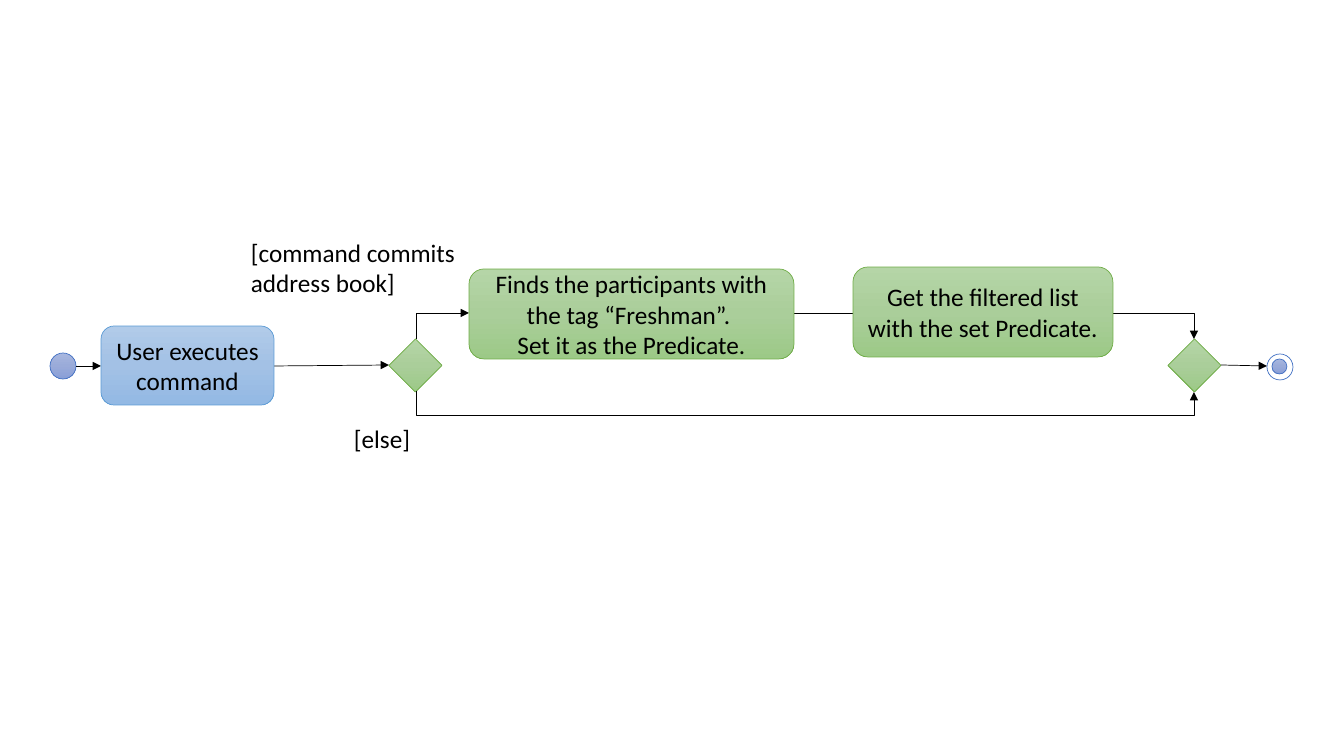
from lxml import etree
from pptx import Presentation
from pptx.dml.color import RGBColor
from pptx.enum.shapes import MSO_CONNECTOR as LINK, MSO_SHAPE as SHAPE
from pptx.enum.text import MSO_ANCHOR, MSO_AUTO_SIZE, PP_ALIGN
from pptx.oxml import parse_xml
from pptx.oxml.ns import nsdecls, qn
from pptx.util import Emu, Pt

PX = 914400 / 100.8
BLACK = RGBColor(0, 0, 0)
WHITE = RGBColor(255, 255, 255)

# Themes: outline colour, gradient stops from top to bottom
INDIGO = (RGBColor(0x44, 0x72, 0xC4), ("A8B7DF", "9AABD9", "889ED7"))
BLUE = (RGBColor(0x5B, 0x9B, 0xD5), ("B1CBE9", "A3C1E5", "93B9E4"))
GREEN = (RGBColor(0x70, 0xAD, 0x47), ("B5D5A7", "AACE9A", "9CC987"))

# Content: boxes in pixels as left, top, width, height
START = (50, 353, 26, 26)
END_RING, END_DOT = (1267, 354, 26, 26), (1272, 359, 15, 15)
DECISIONS = [(389, 339, 53, 53), (1168, 339, 53, 53)]
ACTIONS = [
    ((101, 326, 173, 79), BLUE, ["User executes command"]),
    ((469, 269, 325, 90), GREEN,
     ["Finds the participants with the tag “Freshman”. ", "Set it as the Predicate."]),
    ((853, 267, 260, 90), GREEN, ["Get the filtered list with the set Predicate."]),
]
GUARDS = [((344, 418, 94, 40), "[else]"),
          ((241, 232, 228, 72), "[command commits address book]")]
ARROWS = [(76, 366, 101, 366), (274, 366, 389, 365), (1221, 365, 1267, 366)]
# Elbows: ends, preset, rotation, flips, bend as a share of the width
ELBOWS = [
    ((416, 339, 469, 313), "bentConnector2", 90, ("flipH", "flipV"), None),
    ((416, 391, 1194, 392), "bentConnector3", 270, ("flipH",), 25),
    ((794, 313, 1194, 339), "bentConnector2", 0, (), None),
]


def emu(*values):
    return [Emu(round(v * PX)) for v in values]


def write(shape, lines, align):
    tf = shape.text_frame
    tf.word_wrap = True
    tf.text = "\n".join(lines)
    for p in tf.paragraphs:
        p.alignment = align
        p.font.name, p.font.size = "Calibri", Pt(18)
        p.font.color.rgb = BLACK


def node(shapes, preset, box, theme, plain=False):
    sp = shapes.add_shape(preset, *emu(*box))
    sp.shadow.inherit = False
    outline, colours = theme
    sp.line.color.rgb, sp.line.width = outline, Pt(0.5)
    if plain:
        sp.fill.solid()
        sp.fill.fore_color.rgb = WHITE
    else:
        stops = "".join(f'<a:gs pos="{i * 50000}"><a:srgbClr val="{c}"/></a:gs>'
                        for i, c in enumerate(colours))
        sp._element.spPr.find(qn("a:prstGeom")).addnext(parse_xml(
            f'<a:gradFill {nsdecls("a")}><a:gsLst>{stops}</a:gsLst>'
            '<a:lin ang="5400000" scaled="0"/></a:gradFill>'))
    return sp


def arrow(shapes, kind, ends):
    link = shapes.add_connector(kind, *emu(*ends))
    link.line.color.rgb, link.line.width = BLACK, Pt(0.5)
    etree.SubElement(link.line._get_or_add_ln(), qn("a:tailEnd"), type="triangle")
    etree.SubElement(link._element.spPr, qn("a:effectLst"))
    return link


def elbow(shapes, ends, preset, rotation, flips, bend):
    link = arrow(shapes, LINK.ELBOW, ends)
    x1, y1, x2, y2 = ends
    w, h = abs(x2 - x1), abs(y2 - y1)
    if rotation:
        w, h = h, w
    # The frame is stored unrotated around the midpoint of the ends
    link.left, link.top, link.width, link.height = emu(
        (x1 + x2 - w) / 2, (y1 + y2 - h) / 2, w, h)
    xfrm = link._element.spPr.find(qn("a:xfrm"))
    for flip in ("flipH", "flipV"):
        xfrm.attrib.pop(flip, None)
        if flip in flips:
            xfrm.set(flip, "1")
    xfrm.set("rot", str(rotation * 60000))
    geom = link._element.spPr.find(qn("a:prstGeom"))
    geom.set("prst", preset)
    if bend:
        etree.SubElement(geom.find(qn("a:avLst")), qn("a:gd"),
                         name="adj1", fmla=f"val {bend * 100000}")


prs = Presentation()
prs.slide_width, prs.slide_height = emu(1344, 756)
s = prs.slides.add_slide(prs.slide_layouts[6])

# Start, decisions and end
node(s.shapes, SHAPE.OVAL, START, INDIGO)
for box in DECISIONS:
    node(s.shapes, SHAPE.DIAMOND, box, GREEN)
end = s.shapes.add_group_shape().shapes
node(end, SHAPE.OVAL, END_RING, INDIGO, plain=True)
node(end, SHAPE.OVAL, END_DOT, INDIGO)

# Flow
for ends in ARROWS:
    arrow(s.shapes, LINK.STRAIGHT, ends)
for row in ELBOWS:
    elbow(s.shapes, *row)

# Guards
for box, text in GUARDS:
    tb = s.shapes.add_textbox(*emu(*box))
    write(tb, [text], PP_ALIGN.LEFT)
    tb.text_frame.auto_size = MSO_AUTO_SIZE.SHAPE_TO_FIT_TEXT

# Actions cover the flow lines
for box, theme, lines in ACTIONS:
    sp = node(s.shapes, SHAPE.ROUNDED_RECTANGLE, box, theme)
    write(sp, lines, PP_ALIGN.CENTER)
    sp.text_frame.vertical_anchor = MSO_ANCHOR.MIDDLE

prs.save("out.pptx")
